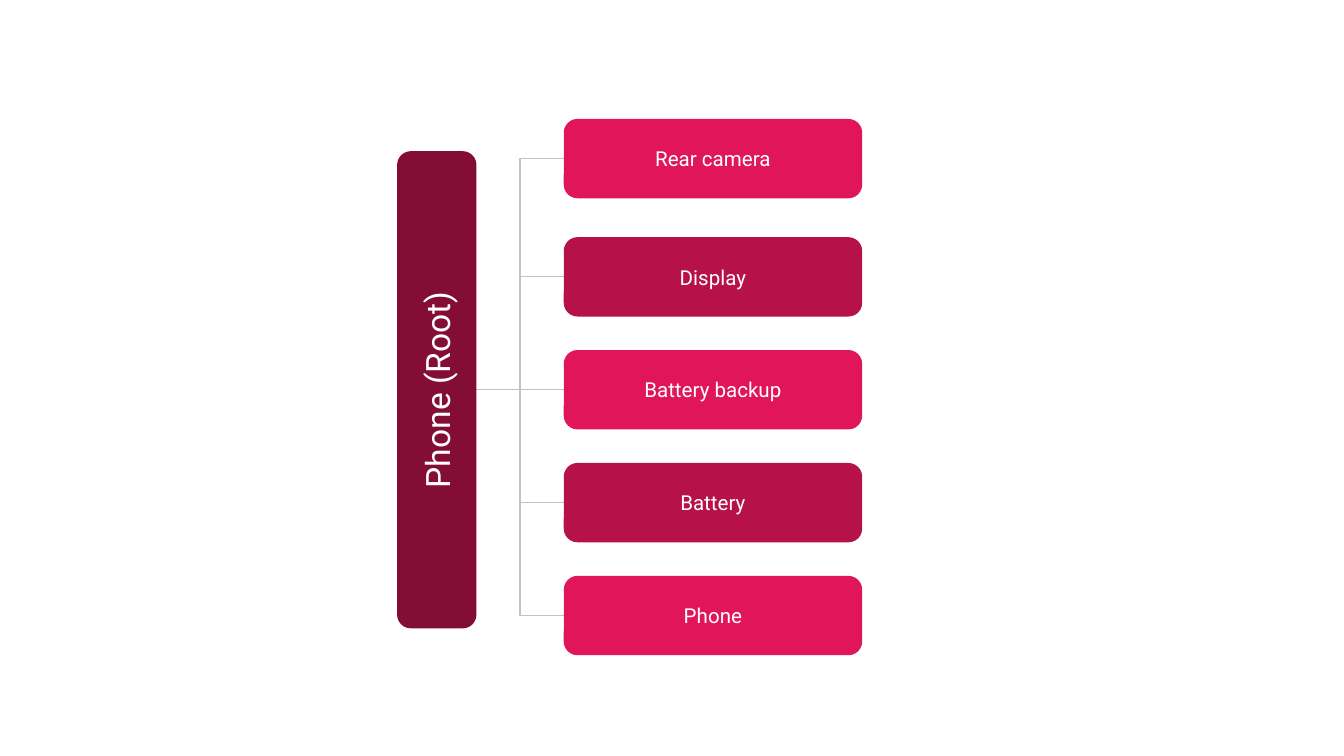
import dataclasses

import lxml.etree
import pptx
import pptx.dml.color
import pptx.enum.shapes
import pptx.enum.text
import pptx.oxml.ns
import pptx.util

Inches = pptx.util.Inches

DARK, MEDIUM, BRIGHT = "840D35", "B61249", "E1165A"
WHITE, GREY = "FFFFFF", "C2C2C2"
BOX_HEIGHT = 0.58
ROOT_RIGHT, BRANCH_LEFT = 3.54, 4.2


@dataclasses.dataclass
class Node:
    text: str
    left: float
    top: float
    width: float
    color: str
    size: int = 11
    rotation: int = 0

    @property
    def middle(self) -> float:
        return self.top + BOX_HEIGHT / 2


def hex_color(value: str) -> pptx.dml.color.RGBColor:
    return pptx.dml.color.RGBColor.from_string(value)


def write_text(frame, text: str, *, size: int, color: str, font: str = "Roboto") -> None:
    frame.word_wrap = True
    frame.vertical_anchor = pptx.enum.text.MSO_ANCHOR.MIDDLE
    frame.margin_left = frame.margin_right = Inches(0.1)
    frame.margin_top = frame.margin_bottom = Inches(0.1)
    para = frame.paragraphs[0]
    para.alignment = pptx.enum.text.PP_ALIGN.CENTER
    span = para.add_run()
    span.text = text
    span.font.name = font
    span.font.size = pptx.util.Pt(size)
    span.font.color.rgb = hex_color(color)


def draw_node(page, node: Node) -> None:
    box = page.shapes.add_shape(
        pptx.enum.shapes.MSO_SHAPE.ROUNDED_RECTANGLE,
        Inches(node.left), Inches(node.top), Inches(node.width), Inches(BOX_HEIGHT),
    )
    box.rotation = node.rotation
    box.shadow.inherit = False
    box.fill.solid()
    box.fill.fore_color.rgb = hex_color(node.color)
    box.line.color.rgb = hex_color(node.color)
    box.line.width = pptx.util.Pt(0.75)
    write_text(box.text_frame, node.text, size=node.size, color=WHITE)


def draw_link(page, root: Node, branch: Node) -> None:
    link = page.shapes.add_connector(
        pptx.enum.shapes.MSO_CONNECTOR.ELBOW,
        Inches(ROOT_RIGHT), Inches(root.middle),
        Inches(branch.left), Inches(branch.middle),
    )
    link.line.color.rgb = hex_color(GREY)
    link.line.width = pptx.util.Pt(0.75)
    lxml.etree.SubElement(link._element.spPr, pptx.oxml.ns.qn("a:effectLst"))


deck = pptx.Presentation()
deck.slide_width = Inches(10)
deck.slide_height = deck.slide_width * 9 // 16
page = deck.slides.add_slide(deck.slide_layouts[6])

root = Node("Phone (Root)", 1.48, 2.61, 3.54, DARK, size=18, rotation=270)
branch_tops = {
    "Rear camera": 0.89,
    "Display": 1.77,
    "Battery backup": 2.61,
    "Battery": 3.45,
    "Phone": 4.29,
}
branches = [
    Node(text, BRANCH_LEFT, top, 2.21, MEDIUM if index % 2 else BRIGHT)
    for index, (text, top) in enumerate(branch_tops.items())
]

for branch in branches:
    draw_link(page, root, branch)
for node in [root, *branches]:
    draw_node(page, node)

deck.save("out.pptx")
